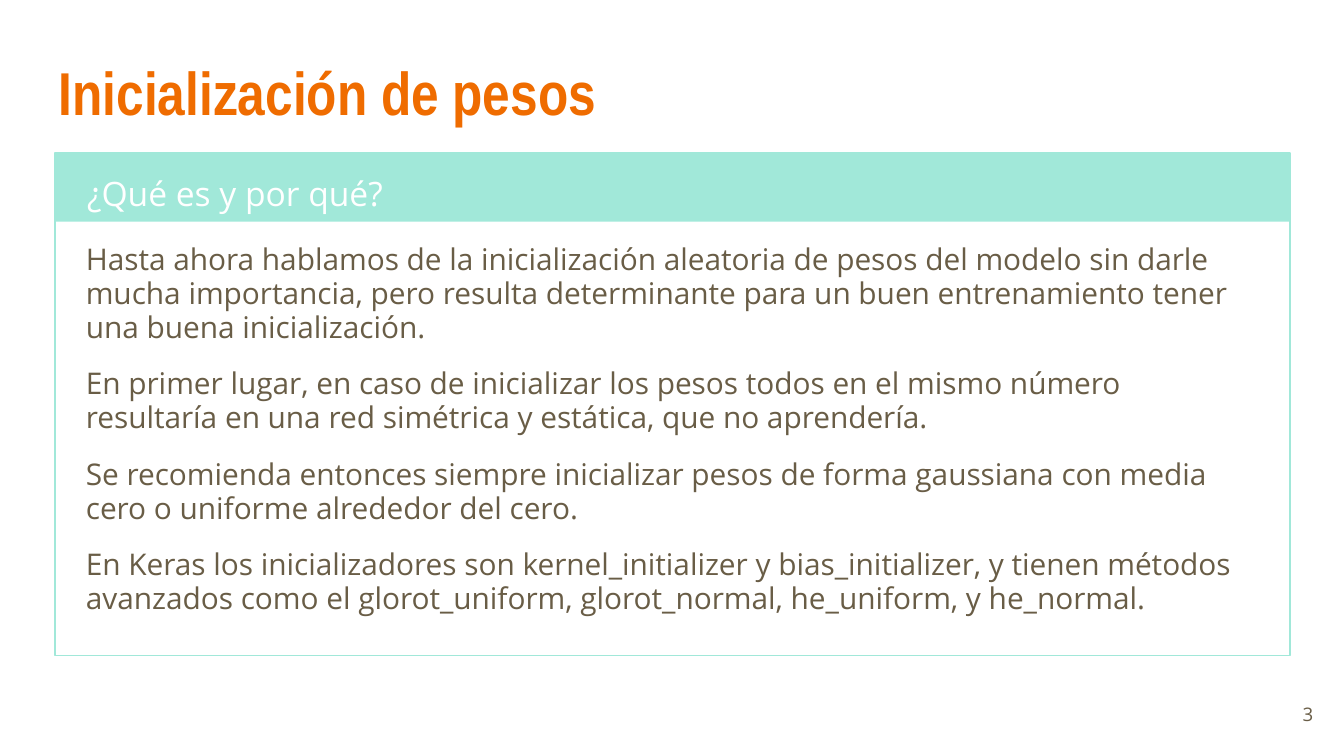
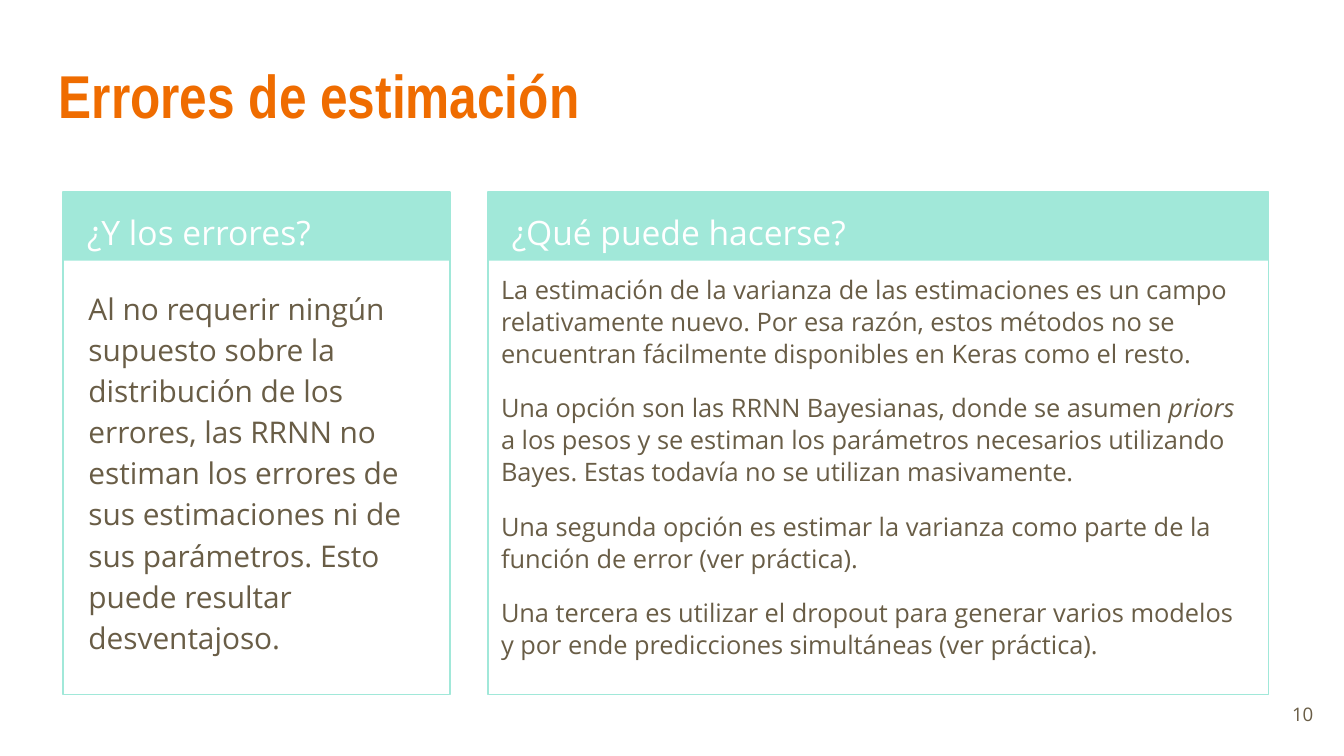
from dataclasses import dataclass

from pptx import Presentation
from pptx.dml.color import RGBColor
from pptx.enum.shapes import MSO_SHAPE
from pptx.enum.text import MSO_ANCHOR, PP_ALIGN
from pptx.util import Inches, Pt

ORANGE = RGBColor(0xEF, 0x6C, 0x00)
MINT = RGBColor(0xA1, 0xE8, 0xD9)
BROWN = RGBColor(0x69, 0x5D, 0x46)
WHITE = RGBColor(0xFF, 0xFF, 0xFF)
TITLE_FONT = "Arial Narrow"
TEXT_FONT = "Open Sans"

# Grid of square cells on a 16:9 slide
COLUMNS = 100
ROWS = COLUMNS * 9 / 16
CELL = 0.1
BAND_ROWS = 5.1
PANEL_ROWS = 37.4


@dataclass
class Box:
    left: float
    top: float
    width: float
    height: float

    def inner(self, left, top, width, height):
        """A box placed relative to this one."""
        return Box(self.left + left, self.top + top, width, height)

    def emu(self):
        return [Inches(cells * CELL)
                for cells in (self.left, self.top, self.width, self.height)]


def add_text(slide, box, *paragraphs, size, color=BROWN, font=TEXT_FONT,
             bold=False, align=PP_ALIGN.LEFT, anchor=MSO_ANCHOR.TOP,
             line_spacing=1.0, gap=0, after=0):
    """Add paragraphs; words between asterisks are set in italics."""
    frame = slide.shapes.add_textbox(*box.emu()).text_frame
    frame.word_wrap = True
    frame.vertical_anchor = anchor
    frame.margin_left = frame.margin_right = Inches(CELL)
    frame.margin_top = frame.margin_bottom = Inches(CELL)
    for number, words in enumerate(paragraphs):
        paragraph = frame.add_paragraph() if number else frame.paragraphs[0]
        paragraph.alignment = align
        paragraph.line_spacing = line_spacing
        paragraph.space_before = Pt(gap if number else 0)
        paragraph.space_after = Pt(0)
        for part, piece in enumerate(words.split("*")):
            run = paragraph.add_run()
            run.text = piece
            run.font.name = font
            run.font.size = Pt(size)
            run.font.bold = bold
            run.font.italic = part % 2 == 1
            run.font.color.rgb = color
    paragraph.space_after = Pt(after)


def add_rectangle(slide, box, fill=None, line=None):
    rectangle = slide.shapes.add_shape(MSO_SHAPE.RECTANGLE, *box.emu())
    rectangle.shadow.inherit = False
    if fill is None:
        rectangle.fill.background()
    else:
        rectangle.fill.solid()
        rectangle.fill.fore_color.rgb = fill
    if line is None:
        rectangle.line.fill.background()
    else:
        rectangle.line.color.rgb = line
        rectangle.line.width = Pt(0.75)


def add_panel(slide, box, heading, heading_place, body, body_place, **body_format):
    """Outlined panel with a coloured heading band and body text."""
    add_rectangle(slide, box.inner(0, 0, box.width, BAND_ROWS), fill=MINT)
    add_rectangle(slide, box, line=MINT)
    heading_left, heading_width = heading_place
    add_text(slide, box.inner(heading_left, 0, heading_width, 5), heading,
             size=18, color=WHITE, line_spacing=1.15)
    add_text(slide, box.inner(*body_place), *body, gap=12, after=12, **body_format)


def add_titled_slide(deck, title, title_top, page_number):
    """Blank slide with the shared title and page number."""
    slide = deck.slides.add_slide(deck.slide_layouts[6])
    page = Box(0, 0, COLUMNS, ROWS)
    add_text(slide, page.inner(3.4, title_top, 93.2, 7.7), title,
             size=32.4, color=ORANGE, font=TITLE_FONT, bold=True)
    add_text(slide, page.inner(92.7, 51, 6, 4.3), str(page_number),
             size=10, align=PP_ALIGN.RIGHT, anchor=MSO_ANCHOR.MIDDLE)
    return slide


def build_weights_slide(deck):
    slide = add_titled_slide(deck, "Inicialización de pesos", 3.1, 3)
    add_panel(
        slide, Box(4.1, 11.4, 91.9, PANEL_ROWS),
        "¿Qué es y por qué?", (1.4, 58.2),
        ["Hasta ahora hablamos de la inicialización aleatoria de pesos del modelo "
         "sin darle mucha importancia, pero resulta determinante para un buen "
         "entrenamiento tener una buena inicialización.",
         "En primer lugar, en caso de inicializar los pesos todos en el mismo "
         "número resultaría en una red simétrica y estática, que no aprendería.",
         "Se recomienda entonces siempre inicializar pesos de forma gaussiana con "
         "media cero o uniforme alrededor del cero.",
         "En Keras los inicializadores son kernel_initializer y bias_initializer, "
         "y tienen métodos avanzados como el glorot_uniform, glorot_normal, "
         "he_uniform, y he_normal."],
        (1.3, 5.7, 89.2, 30.6), size=16, line_spacing=0.95)


def build_errors_slide(deck):
    slide = add_titled_slide(deck, "Errores de estimación", 3.3, 10)
    panel_top = 14.3
    heading_place = (0.8, 27.3)
    # Problem
    add_panel(
        slide, Box(4.7, panel_top, 28.8, PANEL_ROWS),
        "¿Y los errores?", heading_place,
        ["Al no requerir ningún supuesto sobre la distribución de los errores, las "
         "RRNN no estiman los errores de sus estimaciones ni de sus parámetros. "
         "Esto puede resultar desventajoso."],
        (0.9, 5.9, 27.1, 30.6), size=16, line_spacing=1.15)
    # Options
    add_panel(
        slide, Box(36.3, panel_top, 58.1, PANEL_ROWS),
        "¿Qué puede hacerse?", heading_place,
        ["La estimación de la varianza de las estimaciones es un campo "
         "relativamente nuevo. Por esa razón, estos métodos no se encuentran "
         "fácilmente disponibles en Keras como el resto.",
         "Una opción son las RRNN Bayesianas, donde se asumen *priors* a los pesos "
         "y se estiman los parámetros necesarios utilizando Bayes. Estas todavía "
         "no se utilizan masivamente.",
         "Una segunda opción es estimar la varianza como parte de la función de "
         "error (ver práctica).",
         "Una tercera es utilizar el dropout para generar varios modelos y por "
         "ende predicciones simultáneas (ver práctica)."],
        (0, 5, 57.7, 32.3), size=13.6, line_spacing=1.05)


def main():
    deck = Presentation()
    deck.slide_width = Inches(COLUMNS * CELL)
    deck.slide_height = Inches(ROWS * CELL)
    build_weights_slide(deck)
    build_errors_slide(deck)
    deck.save("out.pptx")


if __name__ == "__main__":
    main()
